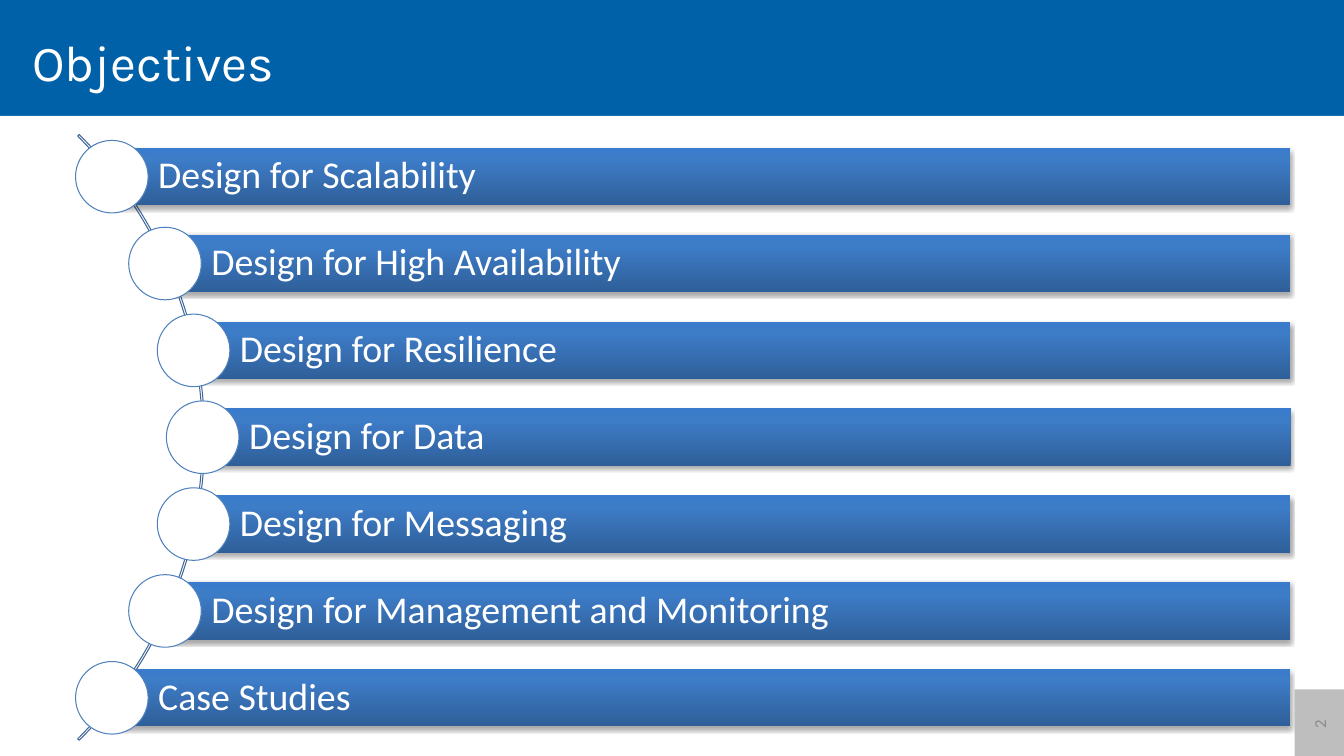
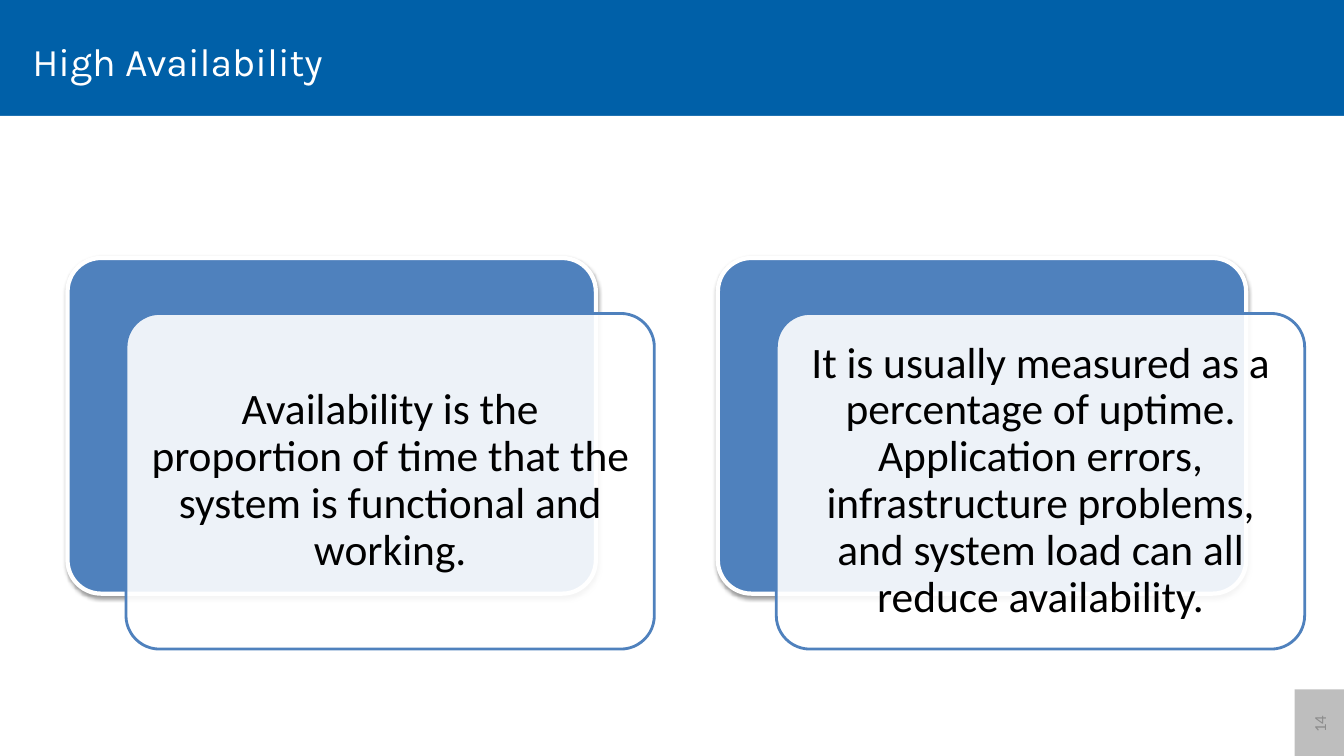
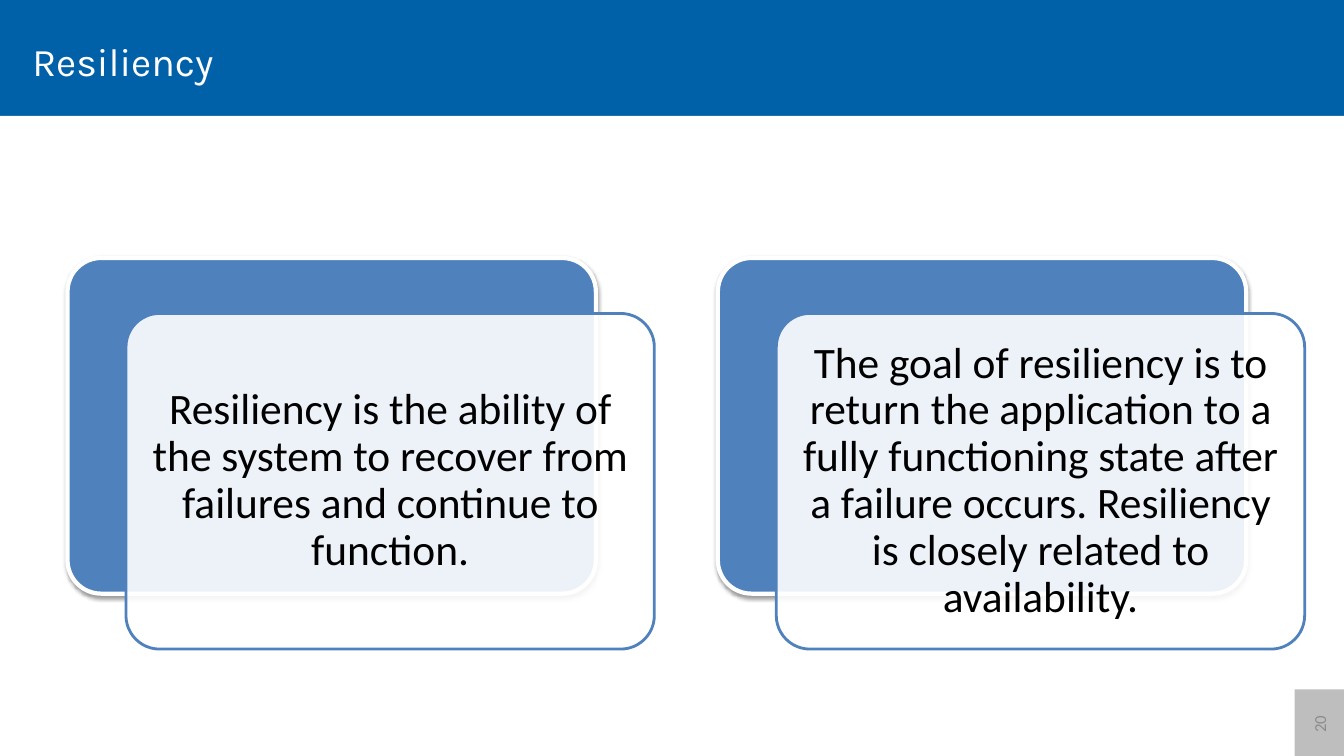
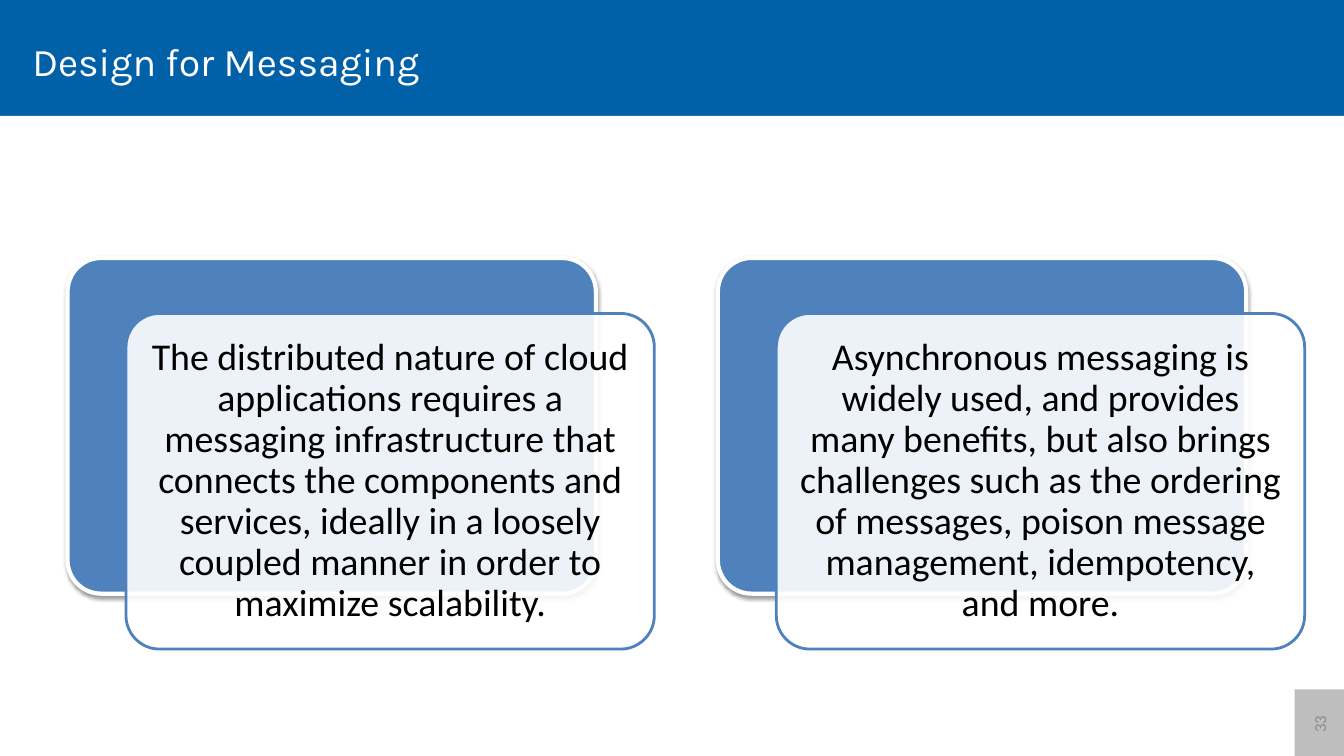
"""Build four design-principle slides on a 160 by 90 grid of square cells."""
from dataclasses import dataclass
from math import sqrt

from pptx import Presentation
from pptx.dml.color import RGBColor as RGB
from pptx.enum.shapes import MSO_SHAPE as SHAPE
from pptx.enum.text import MSO_ANCHOR as ANCHOR, MSO_AUTO_SIZE as AUTO, PP_ALIGN as ALIGN
from pptx.oxml import parse_xml
from pptx.oxml.ns import nsdecls, qn
from pptx.util import Inches, Pt


@dataclass(frozen=True)
class Theme:
    band: str = "0060A8"
    accent: str = "4F81BD"
    arc: str = "3F6797"
    white: str = "FFFFFF"
    black: str = "000000"
    grey: str = "7F7F7F"
    page_text: str = "8C8C8C"
    bar: tuple = ((0, "2F5F99", 100), (80, "3D7CC7", 100), (100, "3A7CCB", 100))
    glow: tuple = ((0, "000000", 13), (48, "E3E3E3", 0), (66, "FFFFFF", 0))
    title_font: str = "Karla"
    body_font: str = "Calibri"
    big_title: int = 36
    title: int = 28
    big_body: int = 31
    body: int = 27
    page: int = 12


T = Theme()
COLS, ROWS = 160, 90
prs = Presentation()
prs.slide_width, prs.slide_height = Inches(13.33), Inches(7.5)
cell = prs.slide_height / ROWS


def draw(s, kind, box, stops=(), angle=0, line=None, shadow=None):
    sp = s.shapes.add_shape(kind, *(round(v * cell) for v in box))
    sp.shadow.inherit = False
    sp.fill.background()
    if stops:
        colors = [f'<a:srgbClr val="{c}"><a:alpha val="{a * 1000}"/></a:srgbClr>' for _, c, a in stops]
        if len(stops) == 1:
            xml = f'<a:solidFill {nsdecls("a")}>{colors[0]}</a:solidFill>'
        else:
            marks = "".join(f'<a:gs pos="{st[0] * 1000}">{c}</a:gs>' for st, c in zip(stops, colors))
            xml = (f'<a:gradFill {nsdecls("a")} rotWithShape="1"><a:gsLst>{marks}</a:gsLst>'
                   f'<a:lin ang="{angle * 60000}" scaled="0"/></a:gradFill>')
        pr = sp.element.spPr
        pr.replace(pr.find(qn("a:noFill")), parse_xml(xml))
    if line:
        sp.line.color.rgb, sp.line.width = RGB.from_string(line[0]), Pt(line[1])
    else:
        sp.line.fill.background()
    if shadow:
        alpha, blur, dist = shadow
        sp.element.spPr.find(qn("a:effectLst")).append(parse_xml(
            f'<a:outerShdw {nsdecls("a")} blurRad="{Pt(blur)}" dist="{Pt(dist)}" dir="5400000" '
            f'rotWithShape="0"><a:srgbClr val="{T.black}"><a:alpha val="{alpha * 1000}"/>'
            f'</a:srgbClr></a:outerShdw>'))
    return sp


def write(sp, text, size, color, font=T.body_font, align=ALIGN.LEFT, spacing=1.0, insets=(0.1, 0.05, 0.1, 0.05)):
    tf = sp.text_frame
    tf.text = text
    p = tf.paragraphs[0]
    sides = ("margin_left", "margin_top", "margin_right", "margin_bottom")
    formats = (
        (tf, {"word_wrap": True, "auto_size": AUTO.NONE, "vertical_anchor": ANCHOR.MIDDLE,
              **dict(zip(sides, map(Inches, insets)))}),
        (p, {"alignment": align, "line_spacing": spacing}),
        (p.runs[0].font, {"name": font, "size": Pt(size)}),
    )
    for target, values in formats:
        for name, value in values.items():
            setattr(target, name, value)
    p.runs[0].font.color.rgb = RGB.from_string(color)


objectives = ["Design for Scalability", "Design for High Availability", "Design for Resilience",
              "Design for Data", "Design for Messaging", "Design for Management and Monitoring",
              "Case Studies"]
pages = [
    ("Objectives", "2", T.big_title, T.body, []),
    ("High Availability", "14", T.title, T.big_body, [
        "Availability is the proportion of time that the system is functional and working.",
        "It is usually measured as a percentage of uptime. Application errors, infrastructure "
        "problems, and system load can all reduce availability."]),
    ("Resiliency", "20", T.title, T.big_body, [
        "Resiliency is the ability of the system to recover from failures and continue to function.",
        "The goal of resiliency is to return the application to a fully functioning state after "
        "a failure occurs. Resiliency is closely related to availability."]),
    ("Design for Messaging", "33", T.title, T.body, [
        "The distributed nature of cloud applications requires a messaging infrastructure that "
        "connects the components and services, ideally in a loosely coupled manner in order to "
        "maximize scalability.",
        "Asynchronous messaging is widely used, and provides many benefits, but also brings "
        "challenges such as the ordering of messages, poison message management, idempotency, "
        "and more."]),
]

layout = prs.slide_layouts.get_by_name("Title Only")
layout.background.fill.solid()
layout.background.fill.fore_color.rgb = RGB.from_string(T.band)
title_box = dict(zip(("left", "top", "width", "height"),
                     (round(v * cell) for v in (2.64, 2.04, 136.2, 10.44))))
for name, value in title_box.items():
    setattr(layout.placeholders[0], name, value)

slides = [prs.slides.add_slide(layout) for _ in pages]
backdrop = [draw(slides[0], SHAPE.RECTANGLE, (0, 13.8, COLS, ROWS - 13.8), [(0, T.white, 100)]),
            draw(slides[0], SHAPE.RECTANGLE, (0, 14.04, COLS, 5.04), T.glow, 90)]
for i, sp in enumerate(backdrop):
    layout.shapes.element.insert(2 + i, sp.element)

card_w, card_h, card_step = 62.88, 39.96, 77.4
for s, (title, number, title_size, body_size, cards) in zip(slides, pages):
    write(s.shapes.title, title, title_size, T.white, T.title_font)
    page = draw(s, SHAPE.RECTANGLE, (152.88, 83.28, 8.28, 5.88), [(0, T.grey, 50)])
    page.rotation = 270
    write(page, number, T.page, T.page_text, align=ALIGN.CENTER)
    for i, text in enumerate(cards):
        left, top = 8.04 + i * card_step, 30.72
        back = draw(s, SHAPE.ROUNDED_RECTANGLE, (left, top, card_w, card_h), [(0, T.accent, 100)],
                    line=(T.white, 3), shadow=(38, 3.1, 1.6))
        front = draw(s, SHAPE.ROUNDED_RECTANGLE, (left + 6.96, top + 6.6, card_w, card_h),
                     [(0, T.white, 90)], line=(T.accent, 2))
        back.adjustments[0] = front.adjustments[0] = 0.1
        inset = 0.13 if body_size == T.big_body else 0.11
        write(front, text, body_size, T.black, align=ALIGN.CENTER, spacing=0.9, insets=[inset] * 4)

s = slides[0]
arc = draw(s, SHAPE.BLOCK_ARC, (-77.64, 1.08, 102, 102), line=(T.arc, 0.75))
for i, value in enumerate((189, 27, 0.0025)):
    arc.adjustments[i] = value
mid_y, pitch, bar_h, bar_right, dot = 52.05, 10.34, 6.84, 153.6, 8.64
curve_x, curve_r = -25.8, 49.92
for i, text in enumerate(objectives):
    dy = (i - len(objectives) // 2) * pitch
    x, y = curve_x + sqrt(curve_r ** 2 - dy ** 2), mid_y + dy
    bar = draw(s, SHAPE.RECTANGLE, (x, y - bar_h / 2, bar_right - x, bar_h), T.bar, 270,
               shadow=(35, 3.1, 1.8))
    write(bar, text, T.body, T.white, spacing=0.9, insets=(0.46, 0.07, 0.07, 0.07))
    draw(s, SHAPE.OVAL, (x - dot / 2, y - dot / 2, dot, dot), [(0, T.white, 100)], line=(T.accent, 0.75))

for s in slides:
    for ph in list(s.placeholders):
        if not ph.text_frame.text:
            ph.element.getparent().remove(ph.element)

prs.save("out.pptx")
